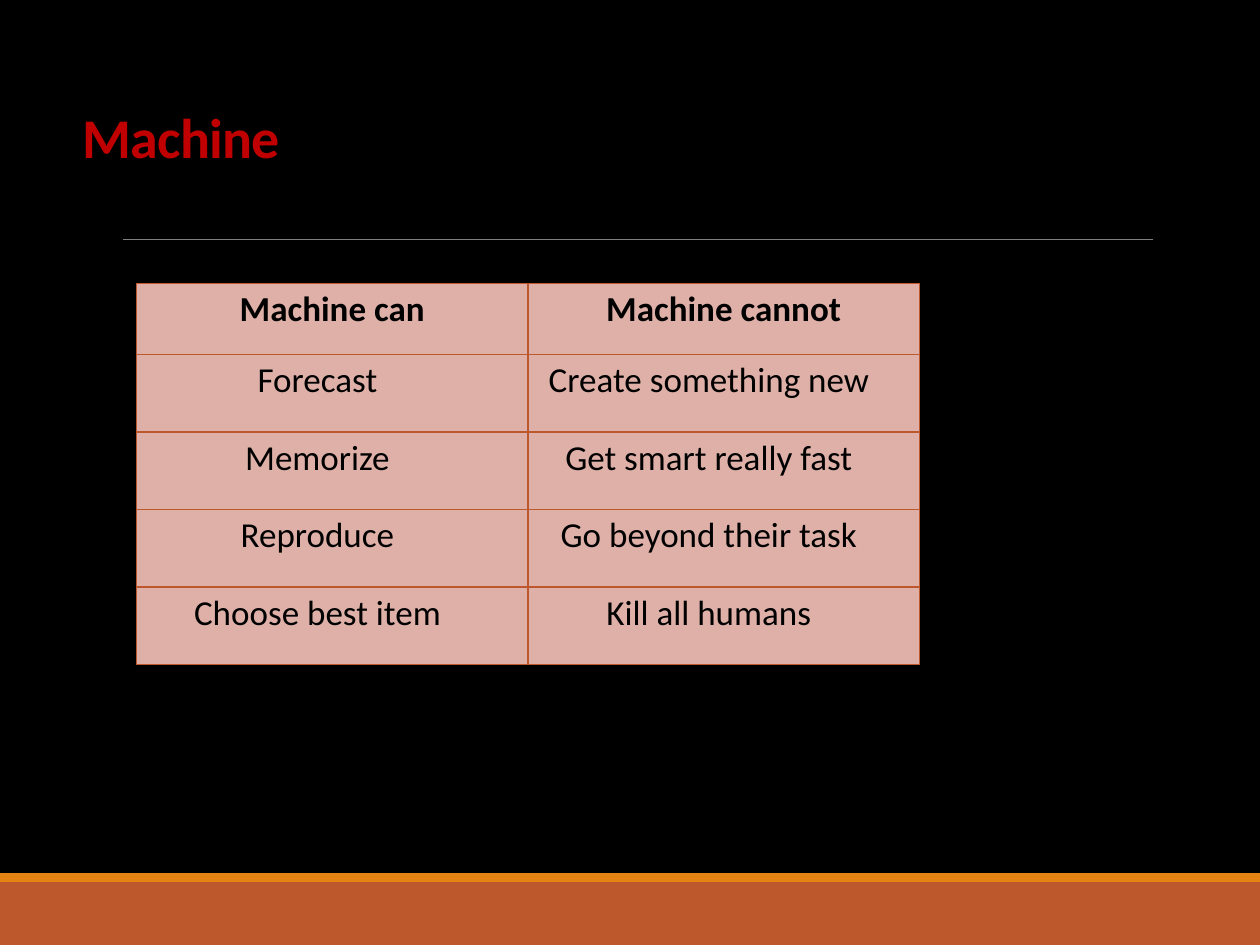
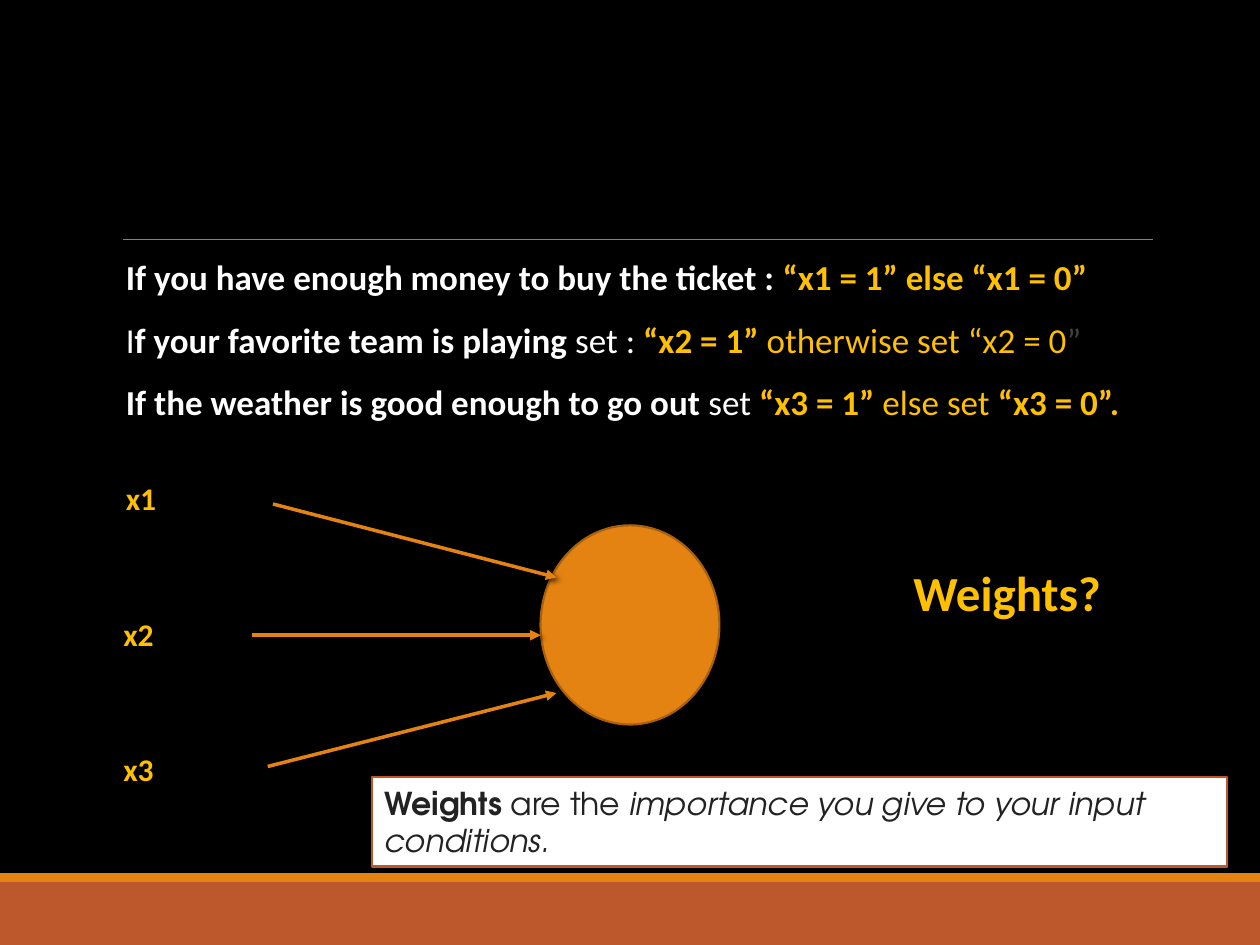
from lxml.etree import SubElement
from pptx import Presentation
from pptx.dml.color import RGBColor
from pptx.enum.shapes import MSO_CONNECTOR, MSO_SHAPE
from pptx.enum.text import MSO_ANCHOR, PP_ALIGN
from pptx.oxml import parse_xml
from pptx.oxml.ns import nsdecls, qn
from pptx.util import Pt

BLACK, WHITE, GREY, DARK = "000000", "FFFFFF", "808080", "404040"
ORANGE, RUST, GOLD, RED = "E48312", "BD582C", "FFC000", "C00000"
PINK, BROWN, INK = "DEB0A8", "A9610D", "222222"


def write(paragraph, text, size=20, color=WHITE, bold=False, italic=False, font="Calibri"):
    run = paragraph.add_run()
    run.text = text
    run.font.name = font
    run.font.size = Pt(size)
    run.font.bold = bold
    run.font.italic = italic
    run.font.color.rgb = RGBColor.from_string(color)
    return run


def add_block(slide, kind, box, fill, outline=None):
    block = slide.shapes.add_shape(kind, *map(Pt, box))
    block.shadow.inherit = False
    block.fill.solid()
    block.fill.fore_color.rgb = RGBColor.from_string(fill)
    if outline:
        block.line.color.rgb = RGBColor.from_string(outline)
        block.line.width = Pt(1.25)
    else:
        block.line.fill.background()
    return block


deck = Presentation()
deck.slide_width, deck.slide_height = Pt(720), Pt(540)

for _ in range(2):
    slide = deck.slides.add_slide(deck.slide_layouts[6])
    slide.background.fill.solid()
    slide.background.fill.fore_color.rgb = RGBColor.from_string(BLACK)
    add_block(slide, MSO_SHAPE.RECTANGLE, (0, 504, 720, 36), RUST)
    add_block(slide, MSO_SHAPE.RECTANGLE, (0, 499, 720, 5), ORANGE)
    rule = slide.shapes.add_connector(
        MSO_CONNECTOR.STRAIGHT, Pt(70.5), Pt(136.8), Pt(658.8), Pt(136.8))
    rule.line.color.rgb = RGBColor.from_string(GREY)
    rule.line.width = Pt(0.5)
    SubElement(rule._element.spPr, qn("a:effectLst"))

machine_slide, weights_slide = deck.slides

title = machine_slide.shapes.add_textbox(Pt(41.8), Pt(41), Pt(466), Pt(78.5)).text_frame
title.word_wrap = True
title.vertical_anchor = MSO_ANCHOR.MIDDLE
title.margin_left = title.margin_right = Pt(5.4)
title.paragraphs[0].line_spacing = 0.9
heading = write(title.paragraphs[0], "Machine", size=32, color=RED, bold=True)
heading._r.get_or_add_rPr().set("spc", "-50")

abilities = [
    ("Machine can", "Machine cannot"),
    ("Forecast", "Create something new"),
    ("Memorize", "Get smart really fast"),
    ("Reproduce", "Go beyond their task"),
    ("Choose best item", "Kill all humans"),
]
table = machine_slide.shapes.add_table(
    len(abilities), 2, Pt(78), Pt(162), Pt(447.4), Pt(217.7)).table
for column in table.columns:
    column.width = Pt(223.7)
for row_number, pair in enumerate(abilities):
    is_header = row_number == 0
    table.rows[row_number].height = Pt(40.5 if is_header else 44.3)
    for column_number, ability in enumerate(pair):
        cell = table.cell(row_number, column_number)
        cell.margin_left, cell.margin_top, cell.margin_bottom = Pt(5.6), Pt(2.8), Pt(13.8)
        cell.margin_right = Pt(5.6 if is_header else 22.5)
        cell.vertical_anchor = MSO_ANCHOR.MIDDLE if is_header else MSO_ANCHOR.TOP
        cell.fill.solid()
        cell.fill.fore_color.rgb = RGBColor.from_string(PINK)
        for position, side in enumerate(("lnL", "lnR", "lnT", "lnB")):
            border = parse_xml(
                f'<a:{side} {nsdecls("a")} w="12700"><a:solidFill>'
                f'<a:srgbClr val="{RUST}"/></a:solidFill></a:{side}>')
            cell._tc.get_or_add_tcPr().insert(position, border)
        paragraph = cell.text_frame.paragraphs[0]
        paragraph.alignment = PP_ALIGN.CENTER
        write(paragraph, ability, color=BLACK, bold=is_header)

conditions = [
    [("If you have enough money to buy the ticket : ", WHITE, True),
     ("“x1 = 1” else “x1 = 0”", GOLD, True)],
    [("I", WHITE, False),
     ("f your favorite team is playing", WHITE, True),
     (" set : ", WHITE, False),
     ("“x2 = 1” ", GOLD, True),
     ("otherwise set “x2 = 0", GOLD, False),
     ("”", DARK, False)],
    [("If the weather is good enough to go out", WHITE, True),
     (" set ", WHITE, False),
     ("“x3 = 1”", GOLD, True),
     (" else set ", GOLD, False),
     ("“x3 = 0”.", GOLD, True)],
]
rules = weights_slide.shapes.add_textbox(Pt(64.8), Pt(145.4), Pt(594), Pt(316.8)).text_frame
rules.word_wrap = True
rules.margin_left, rules.margin_right = Pt(7.2), 0
for number, condition in enumerate(conditions):
    paragraph = rules.add_paragraph() if number else rules.paragraphs[0]
    paragraph.line_spacing = 0.9
    paragraph.space_before = Pt(12 if number else 0)
    paragraph.space_after = Pt(2)
    for text, color, bold in condition:
        write(paragraph, text, color=color, bold=bold)

add_block(weights_slide, MSO_SHAPE.OVAL, (308.9, 300.2, 102.2, 113.8), ORANGE, BROWN)

for ends in [(156, 288, 318, 330), (144, 363, 309, 363), (153, 438, 318, 396)]:
    arrow = weights_slide.shapes.add_connector(MSO_CONNECTOR.STRAIGHT, *map(Pt, ends))
    arrow.line.color.rgb = RGBColor.from_string(ORANGE)
    arrow.line.width = Pt(2)
    properties = arrow._element.spPr
    SubElement(properties.find(qn("a:ln")), qn("a:tailEnd"), type="triangle")
    properties.append(parse_xml(
        f'<a:effectLst {nsdecls("a")}><a:outerShdw blurRad="38100" dist="25400" dir="2700000">'
        f'<a:srgbClr val="{BLACK}"><a:alpha val="60000"/></a:srgbClr>'
        '</a:outerShdw></a:effectLst>'))

labels = [
    ("x1", 18, (64.8, 270, 61, 30)),
    ("x2", 18, (63.4, 347.8, 61, 30)),
    ("x3", 18, (63.4, 424.8, 61, 30)),
    ("Weights?", 28, (514.8, 318.2, 151, 41)),
]
for text, size, box in labels:
    label = weights_slide.shapes.add_textbox(*map(Pt, box)).text_frame
    label.word_wrap = True
    write(label.paragraphs[0], text, size=size, color=GOLD, bold=True)

definition = add_block(
    weights_slide, MSO_SHAPE.RECTANGLE, (212.4, 444.2, 489, 51), WHITE, RUST).text_frame
definition.word_wrap = True
definition.vertical_anchor = MSO_ANCHOR.TOP
sentence = definition.paragraphs[0]
sentence.alignment = PP_ALIGN.LEFT
for text, bold, italic in [
    ("Weights", True, False),
    (" are the ", False, False),
    ("importance you give to your input conditions.", False, True),
]:
    write(sentence, text, size=18, color=INK, bold=bold, italic=italic, font="TeX Gyre Adventor")

deck.save("out.pptx")
